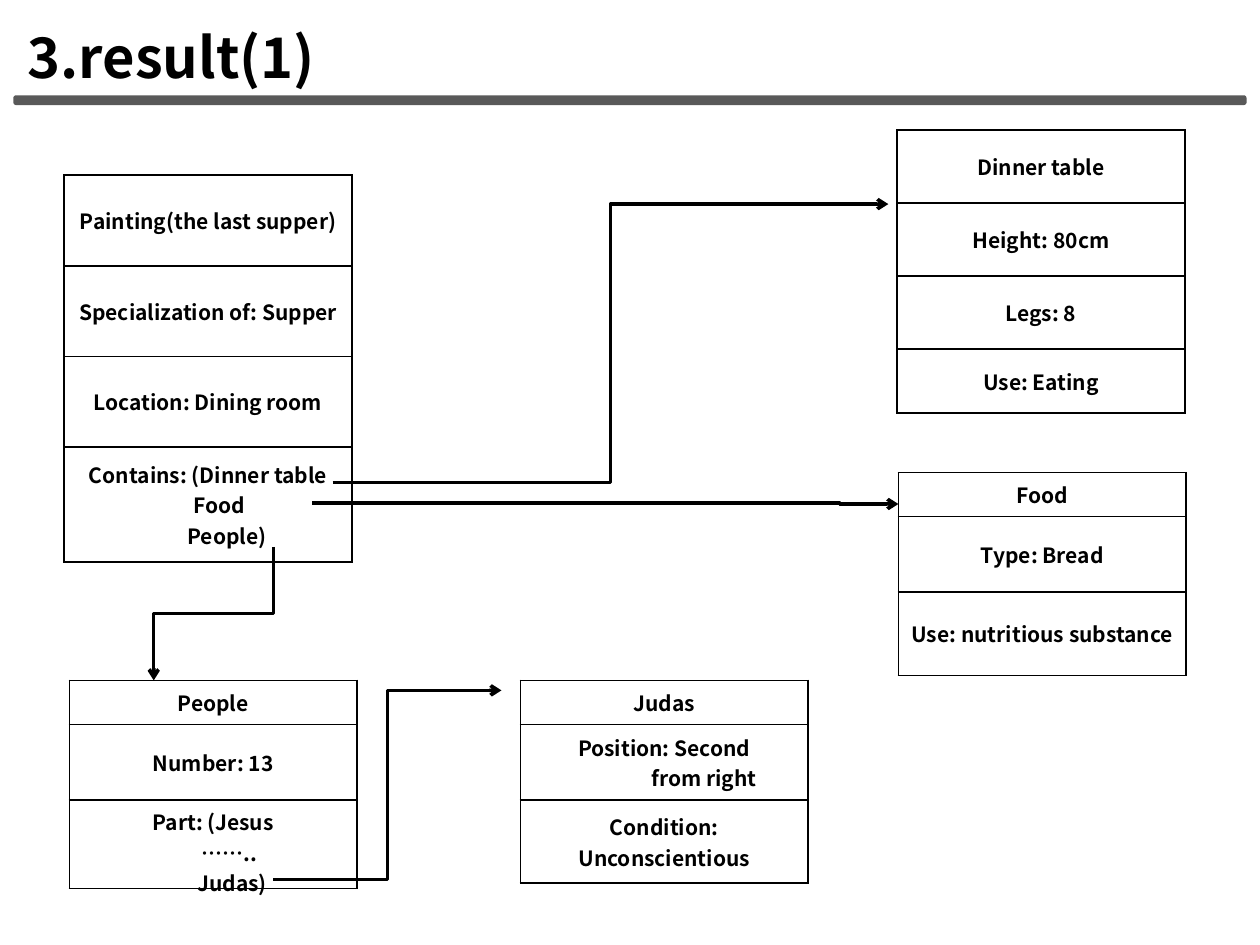
from dataclasses import dataclass

import pptx
import pptx.dml.color
import pptx.enum.shapes
import pptx.enum.text
import pptx.oxml
import pptx.oxml.ns
import pptx.util

ALIGN = pptx.enum.text.PP_ALIGN
ANCHOR = pptx.enum.text.MSO_ANCHOR
SHAPE = pptx.enum.shapes.MSO_SHAPE
ELBOW = pptx.enum.shapes.MSO_CONNECTOR.ELBOW
qn = pptx.oxml.ns.qn


@dataclass
class Theme:
    font: str = "Noto Sans CJK KR"
    ink: str = "000000"
    paper: str = "FFFFFF"
    rule: str = "595959"
    title: int = 32
    body: int = 12
    line: int = 2
    border: int = 1


def rgb(value):
    return pptx.dml.color.RGBColor.from_string(value)


def grid(*units):
    """Grid of 100 columns by 75 rows; each unit is a tenth of an inch."""
    return [pptx.util.Inches(u / 10) for u in units]


def add_xml(parent, tag, inner="", **attrs):
    el = pptx.oxml.parse_xml(
        f'<a:{tag} {pptx.oxml.ns.nsdecls("a")}>{inner}</a:{tag}>')
    for name, value in attrs.items():
        el.set(name, str(value))
    parent.append(el)


class Deck:
    def __init__(self, theme):
        self.t = theme
        self.prs = pptx.Presentation()
        self.prs.slide_width, self.prs.slide_height = grid(100, 75)
        self.s = self.prs.slides.add_slide(self.prs.slide_layouts[6])

    def run(self, p, text, size):
        r = p.add_run()
        r.text = text
        style = {"name": self.t.font, "size": pptx.util.Pt(size), "bold": True}
        for key, value in style.items():
            setattr(r.font, key, value)
        r.font.color.rgb = rgb(self.t.ink)
        add_xml(r.font._element, "ea", typeface=self.t.font)

    def title(self, text, *box):
        tf = self.s.shapes.add_textbox(*grid(*box)).text_frame
        tf.word_wrap = True
        self.run(tf.paragraphs[0], text, self.t.title)

    def bar(self, *box):
        sp = self.s.shapes.add_shape(SHAPE.ROUNDED_RECTANGLE, *grid(*box))
        sp.shadow.inherit = False
        sp.fill.solid()
        sp.fill.fore_color.rgb = sp.line.color.rgb = rgb(self.t.rule)
        sp.line.width = pptx.util.Pt(self.t.line)

    def frame(self, left, top, rows, heights, width=22.85, height=None):
        """One-column table; a row is a list of (text, indent) lines or a text."""
        height = height or sum(heights)
        gf = self.s.shapes.add_table(
            len(rows), 1, *grid(left, top, width, height))
        tbl = gf.table
        tbl.first_row = tbl.horz_banding = False
        for i, (row, h) in enumerate(zip(rows, heights)):
            tbl.rows[i].height = grid(h)[0]
            self.cell(tbl.cell(i, 0), row, filled=i > 0)
        gf.height = grid(height)[0]

    def cell(self, cell, row, filled):
        cell.vertical_anchor = ANCHOR.MIDDLE
        tf = cell.text_frame
        lines = [(row, 0)] if isinstance(row, str) else row
        for i, (text, indent) in enumerate(lines):
            p = tf.add_paragraph() if i else tf.paragraphs[0]
            p.alignment = ALIGN.CENTER
            if indent:
                pPr = p._p.get_or_add_pPr()
                pPr.set("marL", str(grid(indent)[0]))
                pPr.set("indent", "0")
            self.run(p, text, self.t.body)
        tcPr = cell._tc.get_or_add_tcPr()
        ink = f'<a:solidFill><a:srgbClr val="{self.t.ink}"/></a:solidFill>'
        for side in ("lnL", "lnR", "lnT", "lnB"):
            add_xml(tcPr, side, ink, w=pptx.util.Pt(self.t.border))
        if filled:
            cell.fill.solid()
            cell.fill.fore_color.rgb = rgb(self.t.paper)
        else:
            cell.fill.background()

    def arrow(self, x1, y1, x2, y2, bend=None, down=False):
        """Elbow arrow; down makes it leave and arrive vertically."""
        ends = x1, y1, x2, y2
        if down:
            # Unturned box around the same centre, then a quarter turn
            mx, my = (x1 + x2) / 2, (y1 + y2) / 2
            w, h = abs(y2 - y1) / 2, abs(x2 - x1) / 2
            ends = mx - w, my - h, mx + w, my + h
        cx = self.s.shapes.add_connector(ELBOW, *grid(*ends))
        cx.line.color.rgb = rgb(self.t.ink)
        cx.line.width = pptx.util.Pt(self.t.line)
        spPr = cx._element.spPr
        if down:
            spPr.find(qn("a:xfrm")).set("rot", str(90 * 60000))
        if bend:
            av = spPr.find(qn("a:prstGeom")).get_or_add_avLst()
            add_xml(av, "gd", name="adj1", fmla=f"val {round(bend * 100000)}")
        add_xml(spPr.find(qn("a:ln")), "tailEnd", type="arrow")
        add_xml(spPr, "effectLst")


def main():
    d = Deck(Theme())

    # Heading
    d.bar(1.2, 7.7, 97.6, 0.5)
    d.title("3.result(1)", 1.2, 1.3, 92.9, 6.4)

    # Frames
    short = 3.5, 6, 6.6
    d.frame(5.1, 13.9, [
        "Painting(the last supper)",
        "Specialization of: Supper",
        "Location: Dining room",
        [("Contains: (Dinner table", 0), ("Food", 1.8), ("People)", 3)],
    ], (7.2, 7.2, 7.2, 9.1))
    d.frame(71.2, 10.3, ["Dinner table", "Height: 80cm", "Legs: 8",
                         "Use: Eating"], (5.8, 5.8, 5.8, 5.1))
    d.frame(71.3, 37.5, ["Food", "Type: Bread",
                         "Use: nutritious substance"], short)
    d.frame(5.5, 54, [
        "People",
        "Number: 13",
        [("Part: (Jesus", 0), ("……..", 2.6), ("Judas)", 3)],
    ], short, height=16.4)
    d.frame(41.3, 54, [
        "Judas",
        [("Position: Second", 0), ("from right", 6.3)],
        "Condition: Unconscientious",
    ], short)

    # Links between frames
    d.arrow(26.4, 38.3, 70.5, 16.2)
    d.arrow(24.8, 39.9, 71.3, 40, bend=0.9)
    d.arrow(21.7, 43.4, 12.2, 54, down=True)
    d.arrow(21.7, 69.8, 39.8, 54.8)

    d.prs.save("out.pptx")


if __name__ == "__main__":
    main()
